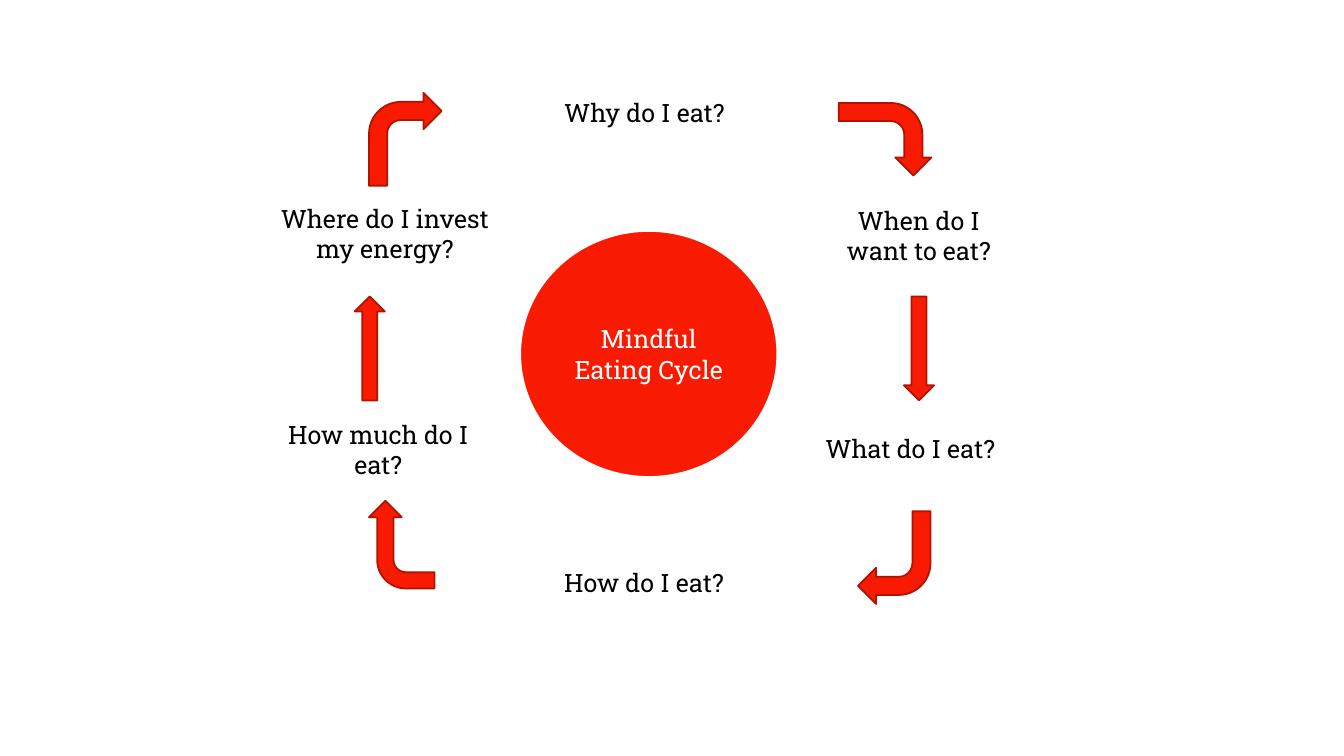
from pptx import Presentation
from pptx.dml.color import RGBColor
from pptx.enum.shapes import MSO_SHAPE
from pptx.enum.text import MSO_ANCHOR, PP_ALIGN
from pptx.util import Cm, Pt

BENT = MSO_SHAPE.BENT_ARROW
UP = MSO_SHAPE.UP_ARROW
DOWN = MSO_SHAPE.DOWN_ARROW
OVAL = MSO_SHAPE.OVAL
MIDDLE = MSO_ANCHOR.MIDDLE
LEFT = PP_ALIGN.LEFT
CENTER = PP_ALIGN.CENTER

RED = RGBColor(0xF8, 0x1B, 0x02)
DARK = RGBColor(0xAF, 0x13, 0x01)
BLACK = RGBColor(0x00, 0x00, 0x00)
WHITE = RGBColor(0xFF, 0xFF, 0xFF)

ONE, TWO = 1.02, 1.8
WIDTH = 5.21
BEND = (1.83, 2.34)
SHAFT = (0.76, 2.62)

STEPS = [
    ("Why do I eat?", LEFT, (13.97, 2.34, WIDTH, ONE)),
    ("When do I want to eat?", CENTER, (20.55, 5.05, WIDTH, TWO)),
    ("What do I eat?", LEFT, (20.55, 10.8, WIDTH, ONE)),
    ("How do I eat?", LEFT, (13.97, 14.17, WIDTH, ONE)),
    ("How much do I eat?", CENTER, (6.93, 10.44, WIDTH, TWO)),
    ("Where do I invest my energy?", CENTER, (6.65, 5, 6.1, TWO)),
]

ARROWS = [
    (BENT, (21.39, 2.34, *BEND), 90),
    (DOWN, (22.78, 7.47, *SHAFT), 0),
    (BENT, (21.62, 12.88, *BEND), 180),
    (BENT, (9.02, 12.9, 2.21, 1.65), 270),
    (UP, (8.94, 7.47, *SHAFT), 0),
    (BENT, (9.3, 2.34, *BEND), 0),
]


def write(frame, lines, color, align):
    frame.word_wrap = True
    frame.text = "\n".join(lines)
    for para in frame.paragraphs:
        para.alignment = align
        para.font.name = "Roboto Slab"
        para.font.size = Pt(18)
        para.font.color.rgb = color


def add_step(slide, text, align, box):
    label = slide.shapes.add_textbox(*map(Cm, box))
    write(label.text_frame, [text], BLACK, align)


def add_shape(slide, kind, box, edge, turn=0):
    shape = slide.shapes.add_shape(kind, *map(Cm, box))
    shape.shadow.inherit = False
    shape.fill.solid()
    shape.fill.fore_color.rgb = RED
    shape.line.color.rgb = edge
    shape.line.width = Pt(1.25)
    shape.rotation = turn
    return shape


def add_hub(slide, lines):
    hub = add_shape(slide, OVAL, (13.11, 5.82, 6.48, 6.2), WHITE)
    hub.text_frame.vertical_anchor = MIDDLE
    write(hub.text_frame, lines, WHITE, CENTER)


def main():
    deck = Presentation()
    deck.slide_width = Cm(33.87)
    deck.slide_height = Cm(19.05)
    slide = deck.slides.add_slide(deck.slide_layouts[6])
    for text, align, box in STEPS:
        add_step(slide, text, align, box)
    for kind, box, turn in ARROWS:
        add_shape(slide, kind, box, DARK, turn)
    add_hub(slide, ["Mindful", "Eating Cycle"])
    deck.save("out.pptx")


if __name__ == "__main__":
    main()
